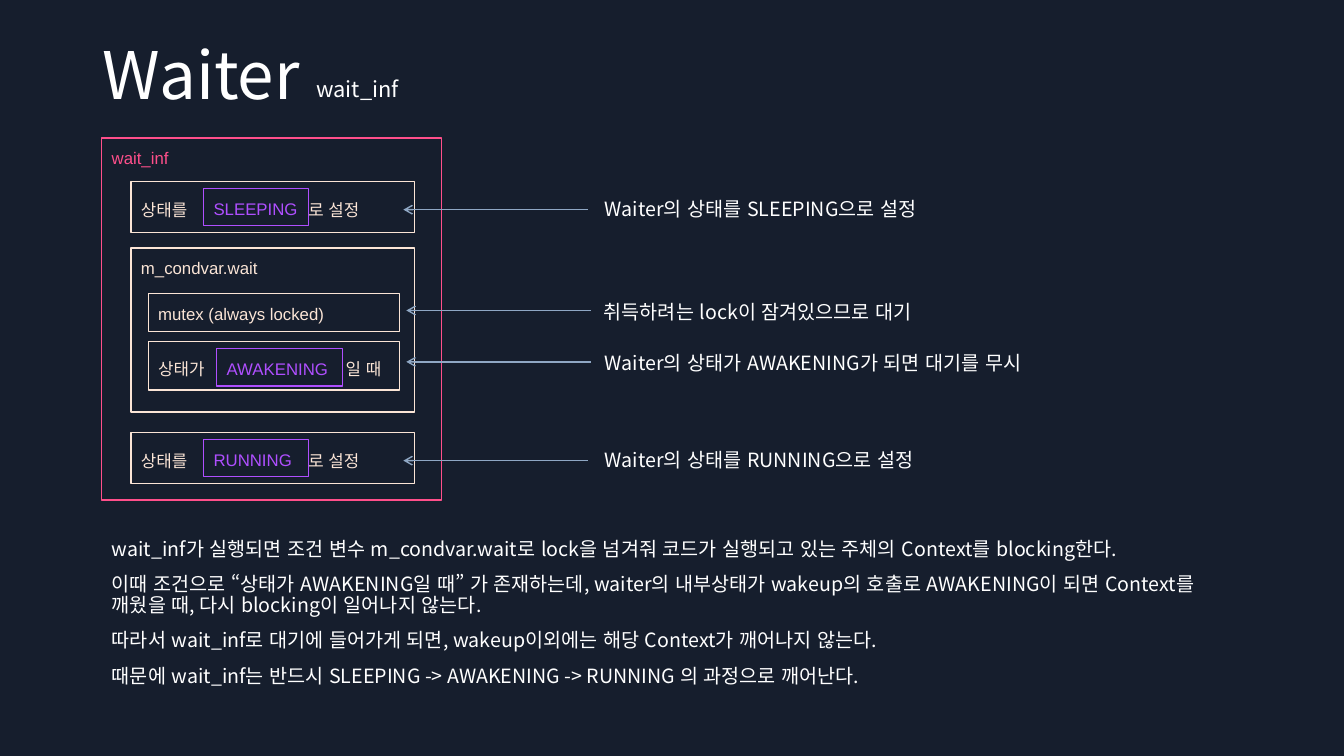
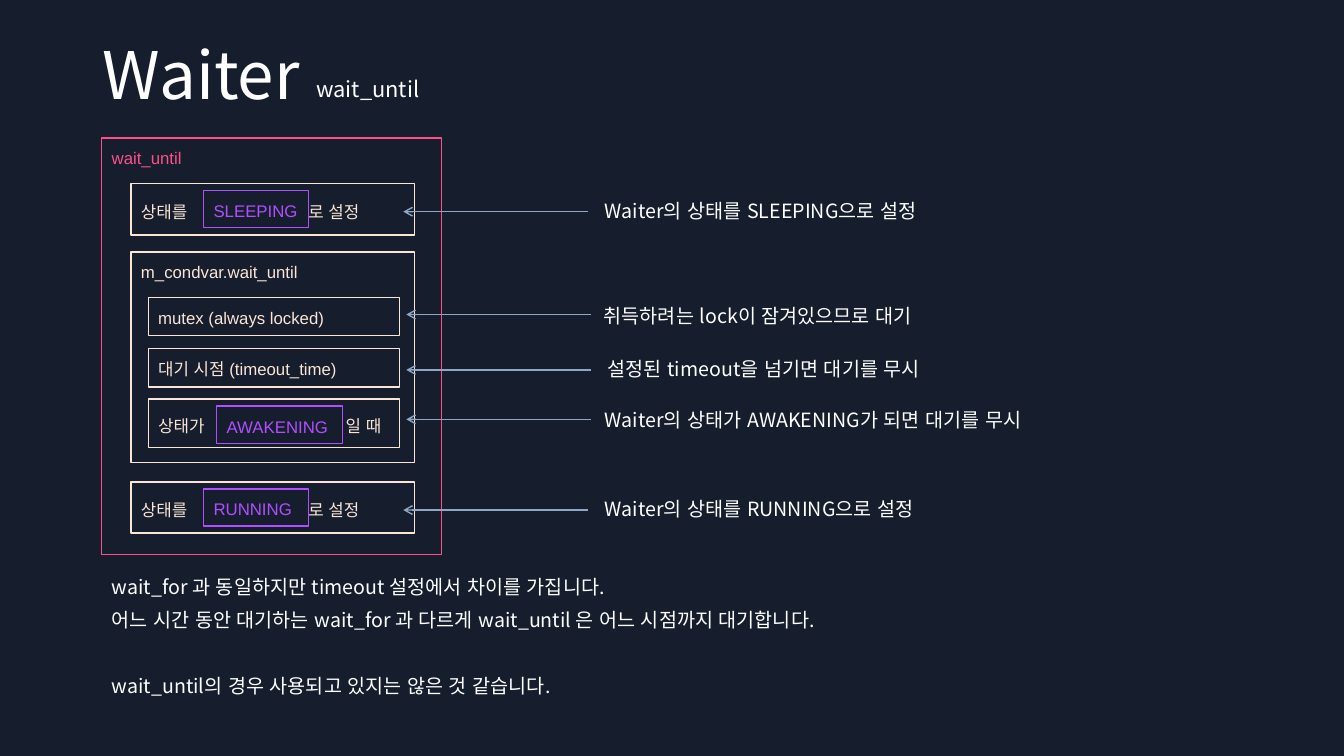
from dataclasses import dataclass

from lxml import etree
from pptx import Presentation
from pptx.dml.color import RGBColor
from pptx.enum.lang import MSO_LANGUAGE_ID
from pptx.enum.shapes import MSO_CONNECTOR, MSO_SHAPE
from pptx.enum.text import MSO_ANCHOR, MSO_AUTO_SIZE, PP_ALIGN
from pptx.oxml.ns import qn
from pptx.util import Inches, Pt

RECTANGLE = MSO_SHAPE.RECTANGLE
STRAIGHT = MSO_CONNECTOR.STRAIGHT
TOP, MIDDLE, BOTTOM = MSO_ANCHOR.TOP, MSO_ANCHOR.MIDDLE, MSO_ANCHOR.BOTTOM
LEFT = PP_ALIGN.LEFT
NO_FIT = MSO_AUTO_SIZE.NONE
KOREAN = MSO_LANGUAGE_ID.KOREAN

COLORS = {
    "page": "161E2D",
    "text": "FFFFFF",
    "frame": "FF4F8B",
    "step": "FBE5D6",
    "state": "AF4FFF",
    "arrow": "8FA7C4",
}
SANS = "Noto Sans CJK KR"
LABEL = "Arial"
FRAME_LEFT, FRAME_TOP, FRAME_WIDTH = 1.01, 1.37, 3.37
NOTE_LEFT = 5.9
ARROW_LENGTH = 1.83


@dataclass
class Step:
    """A row of the diagram; offsets count from the top of its parent or itself."""
    top: float
    text: str
    note: str
    height: float = 0.38
    state: str = ""
    state_left: float = 0.72
    state_width: float = 1.04
    tab: float = 1.66
    arrow: float = 0.17
    note_top: float = 0.02
    note_left: float = NOTE_LEFT
    note_width: float = 3.33


def set_state_step(top, state, note, note_width=3.33):
    return Step(top, "상태를\t로 설정", note, 0.51, state,
                arrow=0.28, note_top=0.1, note_width=note_width)


def sleeping(top):
    return set_state_step(top, "SLEEPING", "Waiter의 상태를 SLEEPING으로 설정", 5.42)


def running(top):
    return set_state_step(top, "RUNNING", "Waiter의 상태를 RUNNING으로 설정")


def mutex(top):
    return Step(top, "mutex (always locked)", "취득하려는 lock이 잠겨있으므로 대기",
                note_left=5.89, note_width=3.3)


def timeout(top):
    return Step(top, "대기 시점 (timeout_time)", "설정된 timeout을 넘기면 대기를 무시",
                arrow=0.21, note_top=0.03, note_left=5.93, note_width=3.34)


def awakening(top):
    return Step(top, "상태가\t일 때", "Waiter의 상태가 AWAKENING가 되면 대기를 무시",
                0.48, "AWAKENING", 0.68, 1.25, 1.86, 0.2, 0.04, note_width=4.52)


def color(name):
    return RGBColor.from_string(COLORS[name])


def format_text(shape, size, fill, font=SANS, anchor=TOP, spacing=None):
    frame = shape.text_frame
    frame.word_wrap = True
    frame.auto_size = NO_FIT
    frame.vertical_anchor = anchor
    for para in frame.paragraphs:
        para.alignment = LEFT
        if spacing:
            para.line_spacing = spacing
        for span in para.runs:
            span.font.size = Pt(size)
            span.font.name = font
            span.font.color.rgb = color(fill)
            span.font.language_id = KOREAN
            latin = span.font._element.find(qn("a:latin"))
            east_asian = etree.Element(qn("a:ea"), typeface=SANS)
            latin.addnext(east_asian)


def place(shape, left, top, width, height):
    shape.left, shape.top = Inches(left), Inches(top)
    shape.width, shape.height = Inches(width), Inches(height)


def add_text(page, left, top, width, height, text, size, **style):
    box = page.shapes.add_textbox(Inches(left), Inches(top),
                                  Inches(width), Inches(height))
    box.text_frame.text = text
    format_text(box, size, "text", **style)


def add_outline(page, left, top, width, height, text, tone, anchor=TOP, tab=None):
    box = page.shapes.add_shape(RECTANGLE, Inches(left), Inches(top),
                                Inches(width), Inches(height))
    box.shadow.inherit = False
    box.fill.background()
    box.line.color.rgb = color(tone)
    box.line.width = Pt(1)
    frame = box.text_frame
    frame.margin_top = Inches(0.1)
    frame.text = text
    if tab:
        properties = frame.paragraphs[0]._p.get_or_add_pPr()
        stops = etree.SubElement(properties, qn("a:tabLst"))
        etree.SubElement(stops, qn("a:tab"), pos=str(Inches(tab)), algn="l")
    format_text(box, 12, tone, LABEL, anchor)


def add_arrow(page, left, top):
    arrow = page.shapes.add_connector(STRAIGHT, Inches(left), Inches(top),
                                      Inches(left + ARROW_LENGTH), Inches(top))
    arrow.line.color.rgb = color("arrow")
    arrow.line.width = Pt(1)
    etree.SubElement(arrow.line._get_or_add_ln(), qn("a:headEnd"), type="arrow")
    etree.SubElement(arrow._element.spPr, qn("a:effectLst"))


def add_step(page, left, parent_top, width, arrow_left, step):
    """Row box, its state tag, and the arrow from its note."""
    top = parent_top + step.top
    if step.state:
        add_outline(page, left, top, width, step.height, step.text, "step",
                    MIDDLE, step.tab)
        add_outline(page, left + step.state_left, top + 0.07, step.state_width,
                    0.37, step.state, "state")
    else:
        add_outline(page, left, top, width, step.height, step.text, "step")
    add_arrow(page, arrow_left, top + step.arrow)
    add_text(page, step.note_left, top + step.note_top, step.note_width, 0.34,
             step.note, 14)


def add_diagram(page, name, height, outer_steps, wait_name, wait_top,
                wait_height, wait_steps):
    # Outer function frame and the steps directly in it
    add_outline(page, FRAME_LEFT, FRAME_TOP, FRAME_WIDTH, height, name, "frame")
    left, width = FRAME_LEFT + 0.29, FRAME_WIDTH - 0.56
    for step in outer_steps:
        add_step(page, left, FRAME_TOP, width, 4, step)
    # Condition variable box and its conditions
    top = FRAME_TOP + wait_top
    add_outline(page, left, top, width, wait_height, wait_name, "step")
    for step in wait_steps:
        add_step(page, left + 0.17, top, width - 0.32, 4.03, step)


def add_body(page, top, height, lines, spacing, gaps):
    body = page.placeholders[1]
    place(body, FRAME_LEFT, top, 11.02, height)
    body.text_frame.text = "\n".join(lines)
    for para, gap in zip(body.text_frame.paragraphs, gaps):
        properties = para._p.get_or_add_pPr()
        properties.set("marL", "0")
        properties.set("indent", "0")
        etree.SubElement(properties, qn("a:buNone"))
        para.space_before = Pt(gap)
    format_text(body, 14, "text", spacing=spacing)


def add_waiter_page(deck, name, diagram, body):
    page = deck.slides.add_slide(deck.slide_layouts[1])
    title = page.shapes.title
    place(title, 0.92, 0.4, 11.5, 0.76)
    title.text_frame.text = "Waiter"
    format_text(title, 46.8, "text", anchor=BOTTOM, spacing=0.8)
    add_text(page, 3.04, 0.66, 3.08, 0.4, name, 15.6, anchor=BOTTOM, spacing=0.9)
    add_diagram(page, name, **diagram)
    add_body(page, **body)


def main():
    deck = Presentation()
    deck.slide_width, deck.slide_height = Inches(13.33), Inches(7.5)
    background = deck.slide_master.background.fill
    background.solid()
    background.fore_color.rgb = color("page")

    add_waiter_page(
        deck, "wait_inf",
        diagram=dict(
            height=3.59, outer_steps=[sleeping(0.43), running(2.92)],
            wait_name="m_condvar.wait", wait_top=1.09, wait_height=1.63,
            wait_steps=[mutex(0.45), awakening(0.93)]),
        body=dict(top=5.3, height=1.63, spacing=0.9, gaps=[0, 10, 10, 10], lines=[
            "wait_inf가 실행되면 조건 변수 m_condvar.wait로 lock을 넘겨줘 코드가 "
            "실행되고 있는 주체의 Context를 blocking한다.",
            "이때 조건으로 “상태가 AWAKENING일 때” 가 존재하는데, waiter의 내부상태가 "
            "wakeup의 호출로 AWAKENING이 되면 Context를 깨웠을 때, 다시 blocking이 "
            "일어나지 않는다.",
            "따라서 wait_inf로 대기에 들어가게 되면, wakeup이외에는 해당 Context가 "
            "깨어나지 않는다.",
            "때문에 wait_inf는 반드시 SLEEPING -> AWAKENING -> RUNNING 의 과정으로 "
            "깨어난다.",
        ]))

    add_waiter_page(
        deck, "wait_until",
        diagram=dict(
            height=4.13, outer_steps=[sleeping(0.45), running(3.41)],
            wait_name="m_condvar.wait_until", wait_top=1.13, wait_height=2.09,
            wait_steps=[mutex(0.45), timeout(0.96), awakening(1.46)]),
        body=dict(top=5.7, height=1.32, spacing=0.8, gaps=[0, 10, 34], lines=[
            "wait_for 과 동일하지만 timeout 설정에서 차이를 가집니다.",
            "어느 시간 동안 대기하는 wait_for 과 다르게 wait_until 은 어느 시점까지 "
            "대기합니다.",
            "wait_until의 경우 사용되고 있지는 않은 것 같습니다.",
        ]))

    deck.save("out.pptx")


if __name__ == "__main__":
    main()
